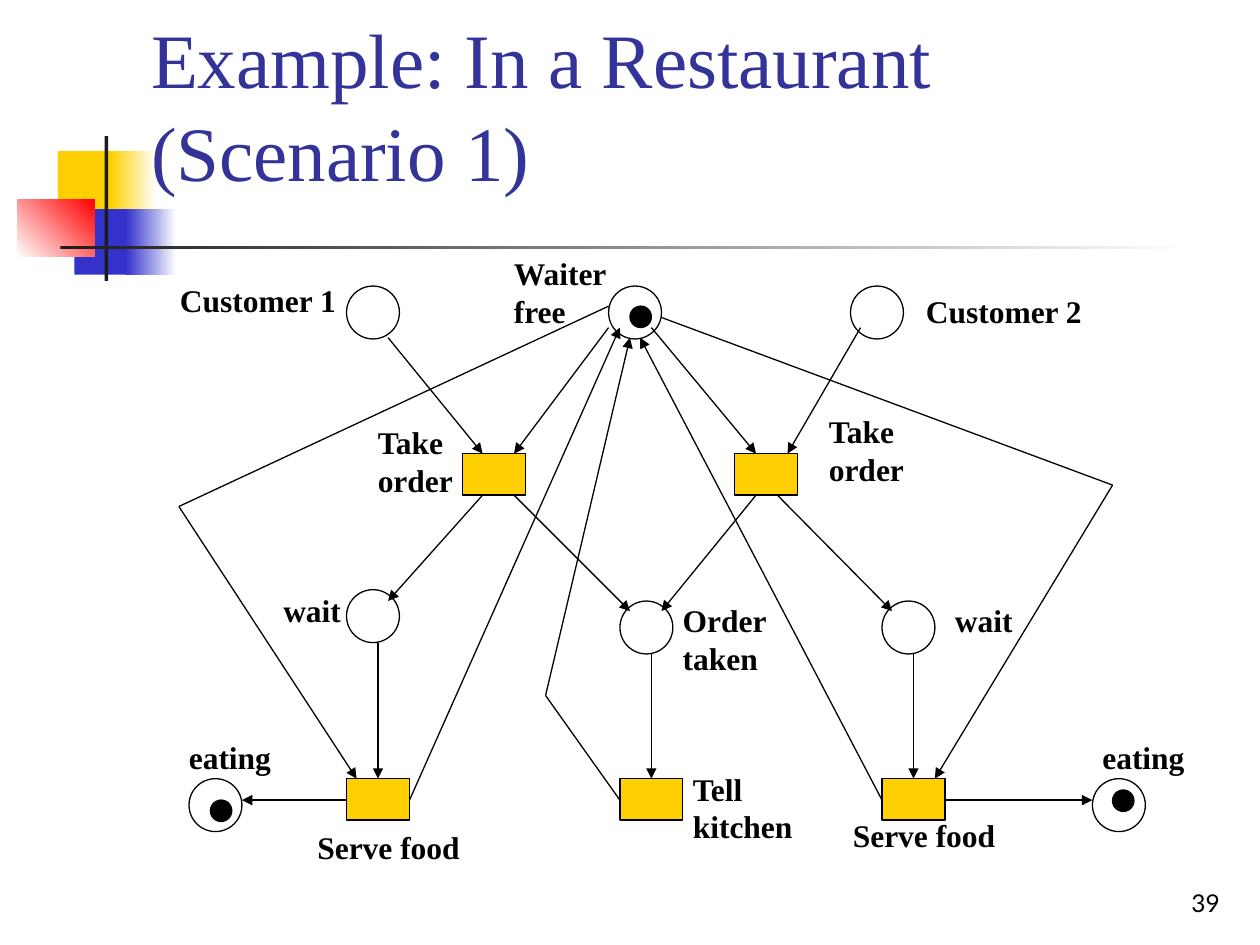
from lxml import etree
from pptx import Presentation
from pptx.dml.color import RGBColor
from pptx.enum import shapes, text
from pptx.oxml.ns import qn
from pptx.util import Inches, Pt

BLACK, YELLOW, BLUE, WHITE = "000000", "FFCF01", "3333CC", "FFFFFF"
PLACE_SIZE, TOKEN_SIZE = 0.42, 0.17
TRANSITION_WIDTH, TRANSITION_HEIGHT = 0.5, 0.33

presentation = Presentation()
presentation.slide_width, presentation.slide_height = Inches(10), Inches(7.5)
slide = presentation.slides.add_slide(presentation.slide_layouts[6])


def add_block(kind, left, top, width, height, fill=None, line=None, angle=0):
    """Draw a preset shape; a pair of colours as fill makes a gradient."""
    shape = slide.shapes.add_shape(
        kind, Inches(left), Inches(top), Inches(width), Inches(height))
    shape.shadow.inherit = False
    if fill is None:
        shape.fill.background()
    elif isinstance(fill, str):
        shape.fill.solid()
        shape.fill.fore_color.rgb = RGBColor.from_string(fill)
    else:
        shape.fill.gradient()
        shape.fill.gradient_angle = angle
        for stop, color in zip(shape.fill.gradient_stops, fill):
            stop.color.rgb = RGBColor.from_string(color)
    if line is None:
        shape.line.fill.background()
    else:
        shape.line.color.rgb = RGBColor.from_string(line)
        shape.line.width = Pt(0.75)


def add_text(content, left, top, width, height, size=18, font="Times New Roman",
             color=BLACK, bold=False, wrap=False, align=text.PP_ALIGN.LEFT,
             anchor=text.MSO_ANCHOR.TOP):
    box = slide.shapes.add_textbox(
        Inches(left), Inches(top), Inches(width), Inches(height))
    frame = box.text_frame
    frame.word_wrap = wrap
    frame.vertical_anchor = anchor
    frame.text = content
    for paragraph in frame.paragraphs:
        paragraph.alignment = align
        paragraph.font.size = Pt(size)
        paragraph.font.name = font
        paragraph.font.bold = bold
        paragraph.font.color.rgb = RGBColor.from_string(color)


RECTANGLE = shapes.MSO_SHAPE.RECTANGLE
OVAL = shapes.MSO_SHAPE.OVAL

# Corner decoration and title rule
for left, top, width, height, fill, angle in [
    (0.46, 1.2, 0.48, 0.52, YELLOW, 0),
    (0.88, 1.2, 0.36, 0.52, (YELLOW, WHITE), 0),
    (0.59, 1.66, 0.46, 0.52, BLUE, 0),
    (1, 1.66, 0.4, 0.52, (BLUE, WHITE), 0),
    (0.14, 1.58, 0.61, 0.46, (WHITE, "FF0000"), 45),
    (0.83, 1.08, 0.03, 1.15, "1C1C1C", 0),
    (0.48, 1.95, 9, 0.03, ("1C1C1C", WHITE), 0),
]:
    add_block(RECTANGLE, left, top, width, height, fill, angle=angle)

add_text("Example: In a Restaurant (Scenario 1)", 1.1, 0.98, 7.51, 0.63, size=44,
         color="333399", wrap=True, anchor=text.MSO_ANCHOR.BOTTOM)
add_text("39", 7.7, 6.83, 2.08, 0.5, size=14, font="Lato", wrap=True,
         align=text.PP_ALIGN.RIGHT, anchor=text.MSO_ANCHOR.BOTTOM)

# Places of the Petri net
for left, top in [(2.75, 2.27), (4.83, 2.27), (6.75, 2.27),
                  (2.75, 4.68), (4.92, 4.77), (7, 4.77),
                  (1.5, 6.18), (8.67, 6.18)]:
    add_block(OVAL, left, top, PLACE_SIZE, PLACE_SIZE, line=BLACK)

# Arcs: each route ends in an arrowhead
arcs = [
    [(3.08, 2.68), (3.83, 3.6)],
    [(4.83, 2.6), (4.08, 3.6)],
    [(5.17, 2.6), (6, 3.6)],
    [(6.83, 2.6), (6.25, 3.6)],
    [(3.83, 3.93), (3.08, 4.77)],
    [(4.08, 3.93), (5, 4.85)],
    [(6, 3.93), (5.25, 4.85)],
    [(6.17, 3.93), (7.08, 4.85)],
    [(3, 5.1), (3, 6.18)],
    [(5.17, 5.18), (5.17, 6.18)],
    [(7.25, 5.18), (7.25, 6.18)],
    [(2.75, 6.35), (1.92, 6.35)],
    [(7.5, 6.35), (8.67, 6.35)],
    [(3.25, 6.35), (4.92, 2.6)],
    [(7, 6.35), (5.08, 2.68)],
    [(4.92, 6.35), (4.33, 5.52), (5, 2.68)],
    [(4.83, 2.43), (1.42, 4.02), (2.83, 6.18)],
    [(5.25, 2.52), (8.83, 3.85), (7.42, 6.18)],
]
for route in arcs:
    for start, end in zip(route, route[1:]):
        connector = slide.shapes.add_connector(
            shapes.MSO_CONNECTOR.STRAIGHT, *map(Inches, start + end))
        connector.line.color.rgb = RGBColor.from_string(BLACK)
        connector.line.width = Pt(0.75)
        if end == route[-1]:
            outline = connector.line._get_or_add_ln()
            etree.SubElement(outline, qn("a:tailEnd"), type="triangle")
        etree.SubElement(connector._element.spPr, qn("a:effectLst"))

# Transitions
for left, top in [(3.67, 3.6), (5.83, 3.6), (2.75, 6.18), (4.92, 6.18), (7, 6.18)]:
    add_block(RECTANGLE, left, top, TRANSITION_WIDTH, TRANSITION_HEIGHT, YELLOW, BLACK)

# Tokens
for left, top in [(5, 2.43), (1.67, 6.35), (8.83, 6.27)]:
    add_block(OVAL, left, top, TOKEN_SIZE, TOKEN_SIZE, BLACK, BLACK)

# Labels
for label, left, top, width in [
    ("Waiter\nfree", 3.98, 1.97, 0.95),
    ("Customer 1", 1.33, 2.18, 1.44),
    ("Customer 2", 7.25, 2.27, 1.44),
    ("Take\norder", 2.9, 3.31, 0.8),
    ("Take\norder", 6.48, 3.22, 0.8),
    ("Order\ntaken", 5.32, 4.72, 0.87),
    ("Tell\nkitchen", 5.4, 6.06, 0.99),
    ("wait", 2.15, 4.64, 0.66),
    ("wait", 7.48, 4.72, 0.66),
    ("Serve food", 2.42, 6.52, 1.33),
    ("Serve food", 6.67, 6.43, 1.33),
    ("eating", 1.4, 5.81, 0.85),
    ("eating", 8.65, 5.81, 0.85),
]:
    height = 0.7 if "\n" in label else 0.4
    add_text(label, left, top, width, height, bold=True)

presentation.save("out.pptx")
